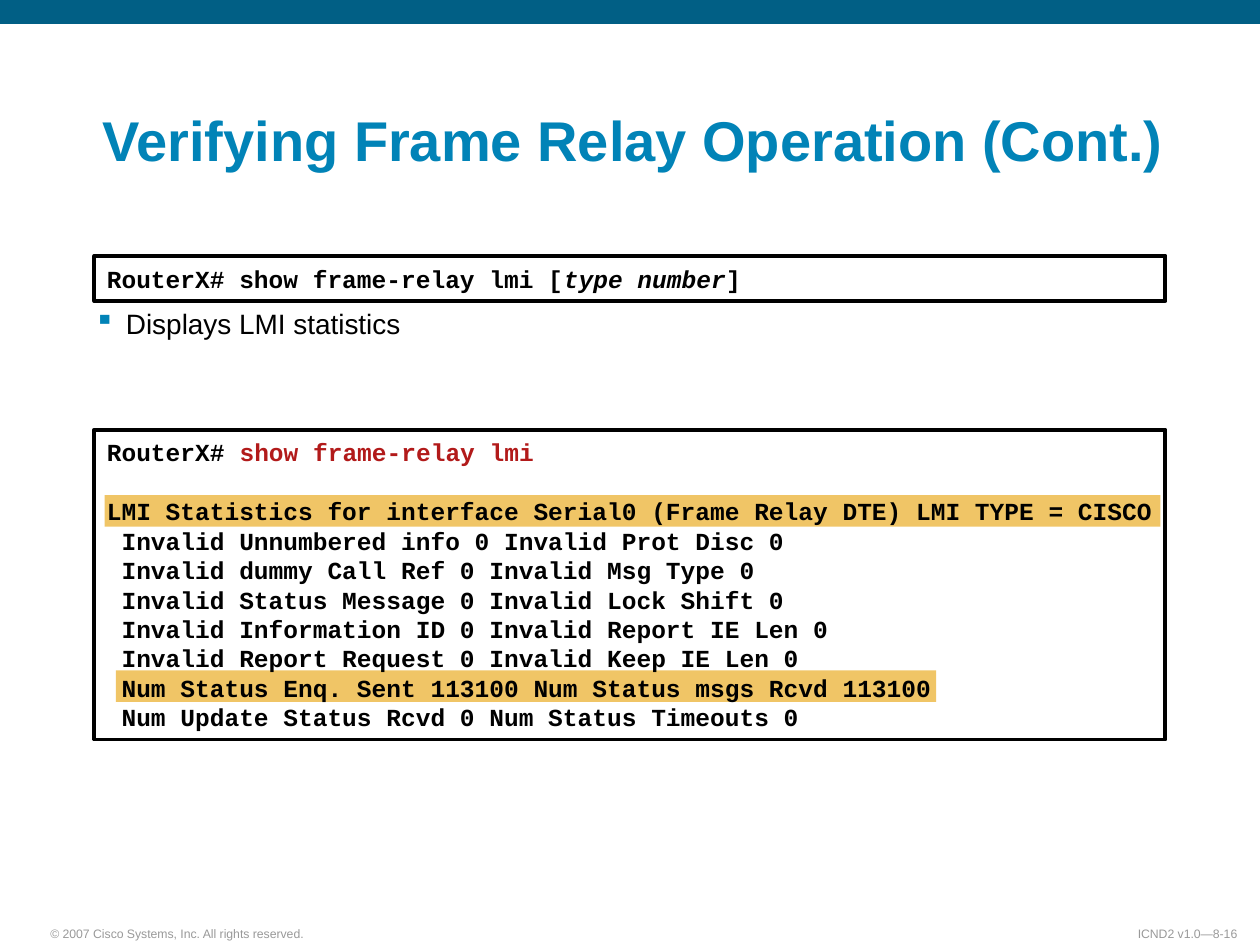
from lxml.etree import SubElement
from pptx import Presentation
from pptx.dml.color import RGBColor
from pptx.enum.shapes import MSO_SHAPE as SHAPE
from pptx.enum.text import MSO_ANCHOR as ANCHOR, PP_ALIGN as ALIGN
from pptx.oxml.ns import qn
from pptx.util import Inches, Pt

COLORS = {
    "bar": "015F85", "accent": "0183B7", "highlight": "F0C566",
    "text": "000000", "command": "B21A1A", "footer": "999999",
}
SANS, MONO = "Arial", "Courier New"
LEFT, BOX_WIDTH = 0.75, 8.5

LMI_OUTPUT = """\
LMI Statistics for interface Serial0 (Frame Relay DTE) LMI TYPE = CISCO
 Invalid Unnumbered info 0 Invalid Prot Disc 0
 Invalid dummy Call Ref 0 Invalid Msg Type 0
 Invalid Status Message 0 Invalid Lock Shift 0
 Invalid Information ID 0 Invalid Report IE Len 0
 Invalid Report Request 0 Invalid Keep IE Len 0
 Num Status Enq. Sent 113100 Num Status msgs Rcvd 113100
 Num Update Status Rcvd 0 Num Status Timeouts 0""".splitlines()


def rgb(name):
    return RGBColor.from_string(COLORS[name])


class SlideBuilder:
    def __init__(self, slide):
        self.slide = slide

    def style(self, font, face, size, color=None, bold=False):
        font.name, font.size, font.bold = face, Pt(size), bold
        if color:
            font.color.rgb = rgb(color)

    def frame(self, shape, insets, anchor=ANCHOR.TOP, wrap=True):
        frame = shape.text_frame
        frame.word_wrap, frame.vertical_anchor = wrap, anchor
        (frame.margin_left, frame.margin_top,
         frame.margin_right, frame.margin_bottom) = map(Inches, insets)
        return frame

    def title(self, text, *box):
        title = self.slide.shapes.title
        title.left, title.top, title.width, title.height = map(Inches, box)
        frame = self.frame(title, (0.09, 0.04, 0.09, 0.04), ANCHOR.BOTTOM)
        frame.text = text
        paragraph = frame.paragraphs[0]
        paragraph.alignment, paragraph.line_spacing = ALIGN.LEFT, 0.9
        self.style(paragraph.font, SANS, 32, "accent", bold=True)

    def rect(self, *box, fill=None):
        shape = self.slide.shapes.add_shape(SHAPE.RECTANGLE, *map(Inches, box))
        shape.shadow.inherit = False
        if fill:
            shape.fill.solid()
            shape.fill.fore_color.rgb = rgb(fill)
            shape.line.fill.background()
        else:
            shape.fill.background()
            shape.line.color.rgb = rgb("text")
            shape.line.width = Pt(2.25)
        return shape

    def code_box(self, top, height, lines):
        """Each line is a list of (text, color, italic) runs."""
        box = self.rect(LEFT, top, BOX_WIDTH, height)
        frame = self.frame(box, (0.1, 0.05, 0, 0.05), ANCHOR.MIDDLE)
        for number, runs in enumerate(lines):
            paragraph = frame.add_paragraph() if number else frame.paragraphs[0]
            paragraph.alignment = ALIGN.LEFT
            paragraph.line_spacing = Pt(16.8)
            self.style(paragraph.font, MONO, 14, bold=True)
            for text, color, italic in runs:
                run = paragraph.add_run()
                run.text = text
                run.font.color.rgb = rgb(color)
                run.font.italic = italic

    def bullet(self, text, *box):
        shape = self.slide.shapes.add_textbox(*map(Inches, box))
        frame = self.frame(shape, (0, 0, 0, 0))
        frame.text = text
        paragraph = frame.paragraphs[0]
        props = paragraph._p.get_or_add_pPr()
        props.set("marL", str(Inches(0.25)))
        props.set("indent", str(-Inches(0.25)))
        color = SubElement(props, qn("a:buClr"))
        SubElement(color, qn("a:srgbClr"), val=COLORS["accent"])
        SubElement(props, qn("a:buChar"), char="▪")
        self.style(paragraph.font, SANS, 16, "text")

    def footer(self, text, left, width, align):
        shape = self.slide.shapes.add_textbox(
            *map(Inches, (left, 7.3, width, 0.21)))
        frame = self.frame(shape, (0.09, 0.04, 0.09, 0.04), ANCHOR.BOTTOM)
        frame.text = text
        paragraph = frame.paragraphs[0]
        paragraph.alignment = align
        self.style(paragraph.font, SANS, 7, "footer")


def main():
    deck = Presentation()
    deck.slide_width, deck.slide_height = Inches(10), Inches(7.5)
    page = SlideBuilder(deck.slides.add_slide(deck.slide_layouts[5]))

    # Top bar, footers and title
    page.rect(0, 0, 10, 0.19, fill="bar")
    page.footer("© 2007 Cisco Systems, Inc. All rights reserved.",
                0.31, 2.2, ALIGN.LEFT)
    page.footer("ICND2 v1.0—8-16", 8.61, 1.3, ALIGN.RIGHT)
    page.title("Verifying Frame Relay Operation (Cont.)", 0.72, 0.5, 8.91, 0.92)

    # Highlights behind the key output lines
    page.rect(0.83, 3.93, 8.38, 0.25, fill="highlight")
    page.rect(0.92, 5.32, 6.51, 0.25, fill="highlight")

    # Command syntax and its purpose
    page.code_box(2.03, 0.36, [[
        ("RouterX# show frame-relay lmi [", "text", False),
        ("type number", "text", True),
        ("]", "text", False),
    ]])
    page.bullet("Displays LMI statistics", LEFT, 2.43, 2.43, 0.27)

    # Sample session
    prompt = [("RouterX# ", "text", False),
              ("show frame-relay lmi", "command", False)]
    output = [[(line, "text", False)] for line in [" ", *LMI_OUTPUT]]
    page.code_box(3.41, 2.46, [prompt, *output])

    deck.save("out.pptx")


if __name__ == "__main__":
    main()
